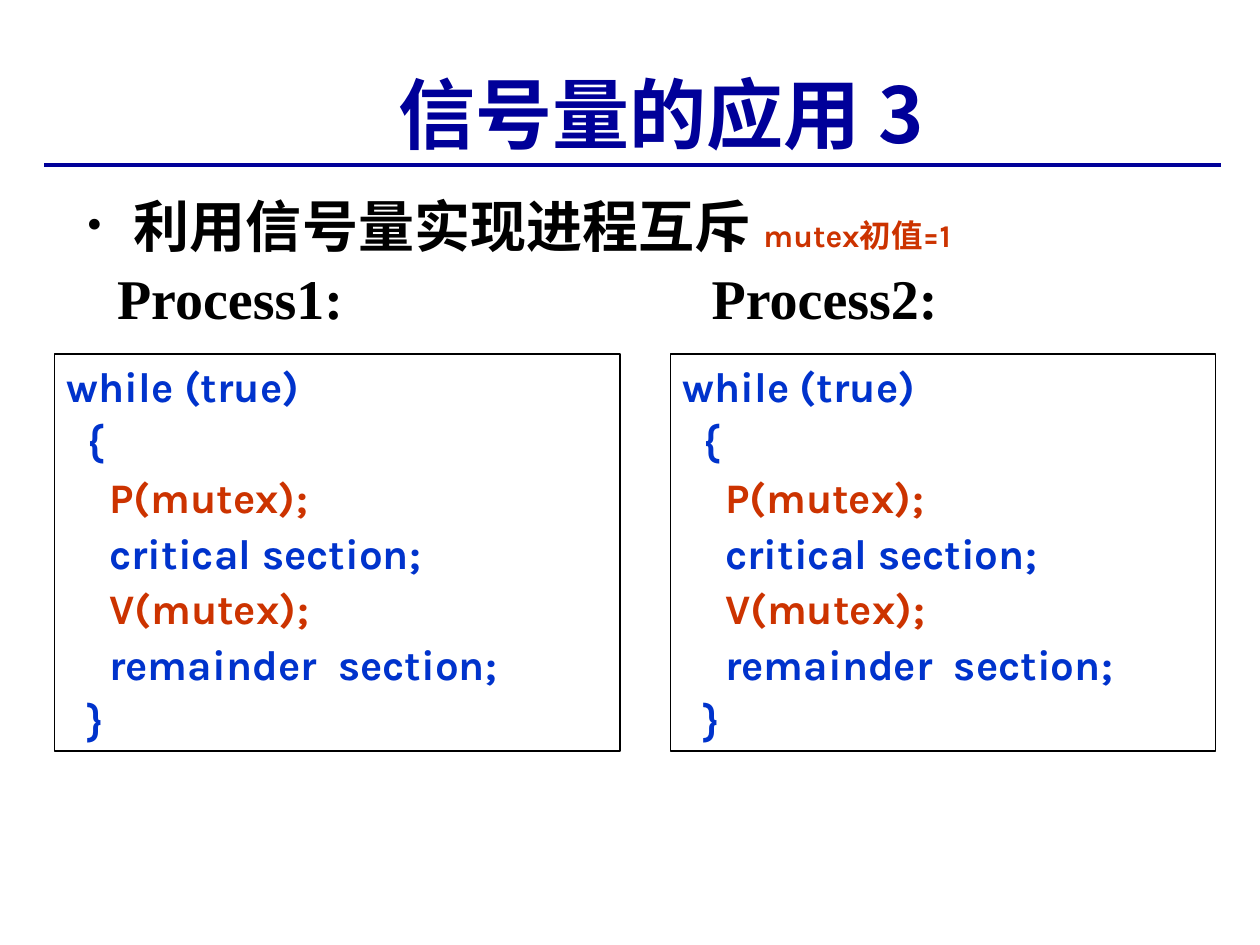
import pptx
import pptx.util
import pptx.dml.color
import pptx.enum.shapes
import pptx.enum.text
import pptx.oxml.ns
from lxml import etree

Pt = pptx.util.Pt
RGB = pptx.dml.color.RGBColor
NAVY = RGB(0x00, 0x00, 0x99)
BLUE = RGB(0x00, 0x33, 0xCC)
RED = RGB(0xCC, 0x33, 0x00)
BLACK = RGB(0, 0, 0)
SANS, SERIF, CODE = "Noto Sans CJK SC", "Times New Roman", "Karla"
LINES = [
    ("while (true)", BLUE),
    ("  {", BLUE),
    ("    P(mutex);", RED),
    ("    critical section;", BLUE),
    ("    V(mutex);", RED),
    ("    remainder  section;", BLUE),
    ("  }", BLUE),
]


def style(font, name, size, color):
    font.name, font.size, font.bold = name, Pt(size), True
    font.color.rgb = color


def add_run(para, text, name, size, color):
    run = para.add_run()
    run.text = text
    style(run.font, name, size, color)
    # Chinese letters use the sans face
    east = etree.SubElement(run.font._element, pptx.oxml.ns.qn("a:ea"))
    east.set("typeface", SANS)


def add_text(slide, box, wrap=True):
    frame = slide.shapes.add_textbox(*map(Pt, box)).text_frame
    frame.word_wrap = wrap
    return frame


def add_head(slide, box):
    # Title
    frame = add_text(slide, box)
    frame.vertical_anchor = pptx.enum.text.MSO_ANCHOR.BOTTOM
    para = frame.paragraphs[0]
    para.alignment = pptx.enum.text.PP_ALIGN.CENTER
    add_run(para, "信号量的应用 3", SANS, 44, NAVY)

    # Rule under the title
    base = Pt(box[1] + box[3])
    rule = slide.shapes.add_connector(
        pptx.enum.shapes.MSO_CONNECTOR.STRAIGHT, Pt(25.2), base, Pt(697.7), base)
    rule.line.color.rgb = NAVY
    rule.line.width = Pt(2.5)
    etree.SubElement(rule._element.spPr, pptx.oxml.ns.qn("a:effectLst"))


def add_point(slide, box):
    para = add_text(slide, box).paragraphs[0]
    props = para._p.get_or_add_pPr()
    props.set("marL", str(Pt(27)))
    props.set("indent", str(-Pt(27)))
    for tag, key, value in (("a:buSzPct", "val", "80000"),
                            ("a:buFont", "typeface", SERIF),
                            ("a:buChar", "char", "•")):
        etree.SubElement(props, pptx.oxml.ns.qn(tag)).set(key, value)
    add_run(para, "利用信号量实现进程互斥 ", SERIF, 32, BLACK)
    add_run(para, "mutex初值=1", CODE, 18, RED)


def add_process(slide, box, label, shift):
    left, top, width, height = box
    # Label above the code
    para = add_text(slide, (left + shift, top - 55.4, 144, 46), False).paragraphs[0]
    para.text = label
    style(para.font, SERIF, 32, BLACK)

    # Framed code
    frame = slide.shapes.add_shape(
        pptx.enum.shapes.MSO_SHAPE.RECTANGLE, *map(Pt, box))
    frame.shadow.inherit = False
    frame.fill.background()
    frame.line.color.rgb = BLACK
    frame.line.width = Pt(0.75)
    body = frame.text_frame
    body.word_wrap = True
    body.vertical_anchor = pptx.enum.text.MSO_ANCHOR.TOP
    for i, (text, color) in enumerate(LINES):
        para = body.add_paragraph() if i else body.paragraphs[0]
        para.text = text
        para.alignment = pptx.enum.text.PP_ALIGN.LEFT
        para.space_before = Pt(3 if i else 0)
        style(para.font, CODE, 24, color)


def main():
    deck = pptx.Presentation()
    deck.slide_width, deck.slide_height = Pt(720), Pt(540)
    slide = deck.slides.add_slide(deck.slide_layouts[6])
    add_head(slide, (48.2, 0, 659.5, 94.3))
    add_point(slide, (42.5, 105.8, 662.4, 357))
    add_process(slide, (31, 202.3, 323.3, 226.8), "Process1:", 28.8)
    add_process(slide, (383, 202.3, 311.8, 226.8), "Process2:", 16.6)
    deck.save("out.pptx")


if __name__ == "__main__":
    main()
